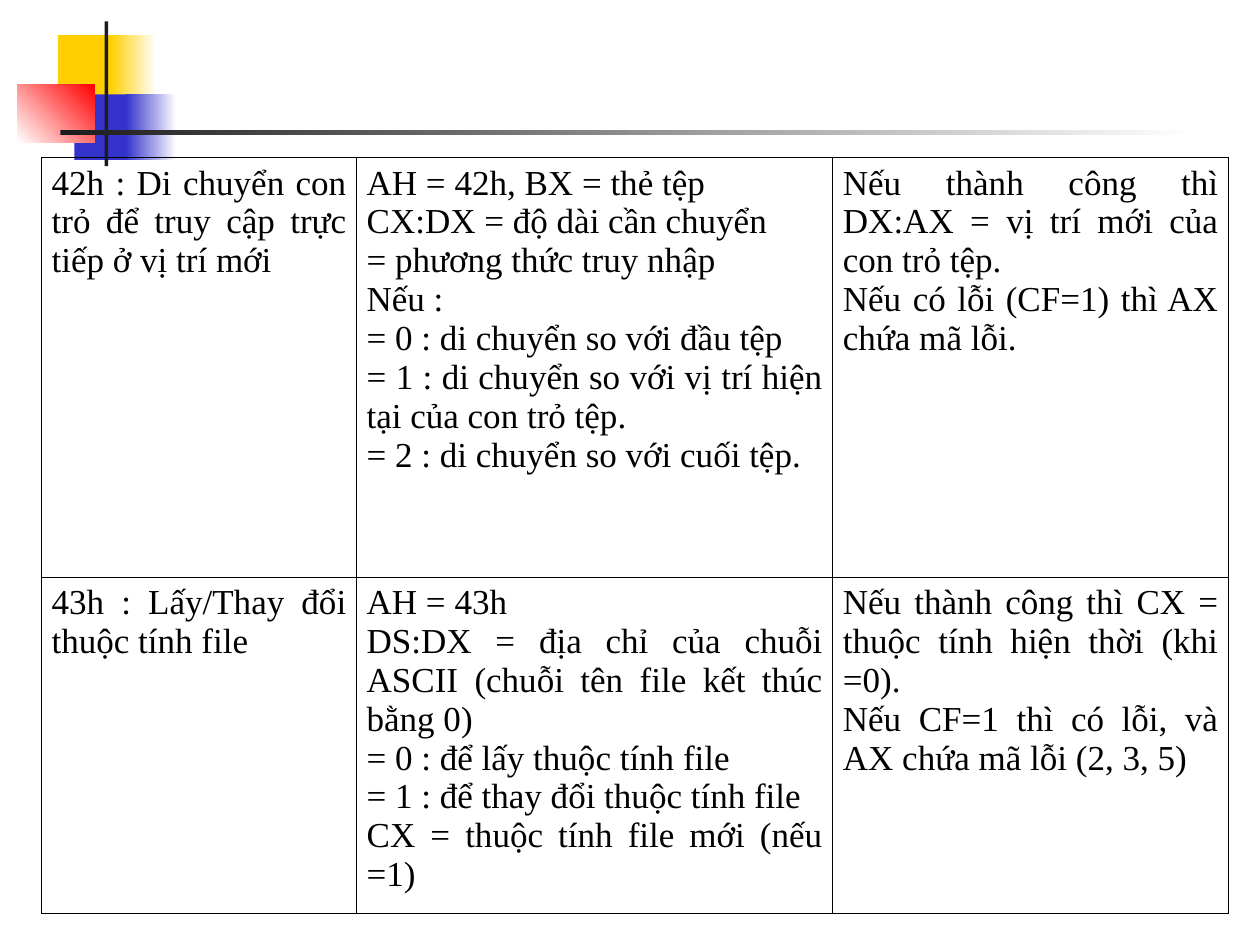
from dataclasses import dataclass

from lxml import etree
from pptx import Presentation
from pptx import util as u
from pptx.dml.color import RGBColor as Rgb
from pptx.enum import shapes, text
from pptx.oxml import ns


@dataclass(frozen=True)
class Theme:
    gold: str = "FFCF01"
    blue: str = "3333CC"
    red: str = "FF0000"
    dark: str = "1C1C1C"
    white: str = "FFFFFF"
    ink: str = "000000"
    font: str = "Times New Roman"
    size: float = 20
    rule: float = 0.45


THEME = Theme()
WIDE, HIGH = u.Inches(10), u.Inches(7.5)

BLOCKS = [
    ((4.6, 3.73, 4.8, 6.93), [THEME.gold], 0),
    ((8.8, 3.73, 3.6, 6.93), [THEME.gold, THEME.white], 0),
    ((5.9, 10, 4.6, 6.93), [THEME.blue], 0),
    ((10, 10, 4, 6.93), [THEME.blue, THEME.white], 0),
    ((1.4, 8.93, 6.1, 6.13), [THEME.white, THEME.red], 45),
    ((8.3, 2.27, 0.3, 15.33), [THEME.dark], 0),
    ((4.8, 13.73, 90, 0.53), [THEME.dark, THEME.white], 0),
]

COLS = [25, 37.8, 31.4]
ROWS = [44.4, 35.6]
CELLS = [
    [
        ["42h : Di chuyển con trỏ để truy cập trực tiếp ở vị trí mới"],
        [
            "AH = 42h, BX = thẻ tệp",
            "CX:DX = độ dài cần chuyển",
            "= phương thức truy nhập",
            "Nếu :",
            "= 0 : di chuyển so với đầu tệp",
            "= 1 : di chuyển so với vị trí hiện tại của con trỏ tệp.",
            "= 2 : di chuyển so với cuối tệp.",
        ],
        [
            "Nếu thành công thì DX:AX = vị trí mới của con trỏ tệp.",
            "Nếu có lỗi (CF=1) thì AX chứa mã lỗi.",
        ],
    ],
    [
        ["43h : Lấy/Thay đổi thuộc tính file"],
        [
            "AH = 43h",
            "DS:DX = địa chỉ của chuỗi ASCII (chuỗi tên file kết thúc bằng 0)",
            "= 0 : để lấy thuộc tính file",
            "= 1 : để thay đổi thuộc tính file",
            "CX = thuộc tính file mới (nếu =1)",
        ],
        [
            "Nếu thành công thì CX = thuộc tính hiện thời (khi =0).",
            "Nếu CF=1 thì có lỗi, và AX chứa mã lỗi (2, 3, 5)",
        ],
    ],
]


def across(share):
    return round(WIDE * share / 100)


def down(share):
    return round(HIGH * share / 100)


def place(left, top, width, height):
    return across(left), down(top), across(width), down(height)


def add_block(slide, box, tones, angle):
    block = slide.shapes.add_shape(shapes.MSO_SHAPE.RECTANGLE, *place(*box))
    block.shadow.inherit = False
    block.line.fill.background()
    if len(tones) == 1:
        block.fill.solid()
        block.fill.fore_color.rgb = Rgb.from_string(tones[0])
        return
    block.fill.gradient()
    block.fill.gradient_angle = angle
    for stop, tone, spot in zip(block.fill.gradient_stops, tones, (0, 1)):
        stop.color.rgb = Rgb.from_string(tone)
        stop.position = spot


def add_rules(cell):
    props = cell._tc.get_or_add_tcPr()
    for spot, side in enumerate(("lnL", "lnR", "lnT", "lnB")):
        line = etree.Element(ns.qn("a:" + side), w=str(u.Pt(THEME.rule)))
        fill = etree.SubElement(line, ns.qn("a:solidFill"))
        etree.SubElement(fill, ns.qn("a:srgbClr"), val=THEME.ink)
        props.insert(spot, line)


def fill_cell(cell, lines):
    cell.fill.background()
    cell.margin_left = cell.margin_right = u.Inches(0.08)
    cell.margin_top = cell.margin_bottom = u.Inches(0.05)
    add_rules(cell)
    cell.text_frame.text = "\n".join(lines)
    for para in cell.text_frame.paragraphs:
        para.alignment = text.PP_ALIGN.JUSTIFY
        for run in para.runs:
            run.font.name = THEME.font
            run.font.size = u.Pt(THEME.size)
            run.font.color.rgb = Rgb.from_string(THEME.ink)


def add_grid(slide, left, top):
    box = place(left, top, sum(COLS), sum(ROWS))
    table = slide.shapes.add_table(len(ROWS), len(COLS), *box).table
    table.first_row = table.horz_banding = False
    for col, share in zip(table.columns, COLS):
        col.width = across(share)
    for row, share, group in zip(table.rows, ROWS, CELLS):
        row.height = down(share)
        for cell, lines in zip(row.cells, group):
            fill_cell(cell, lines)


def main():
    deck = Presentation()
    deck.slide_width, deck.slide_height = WIDE, HIGH
    slide = deck.slides.add_slide(deck.slide_layouts[6])
    for box, tones, angle in BLOCKS:
        add_block(slide, box, tones, angle)
    add_grid(slide, 3.3, 16.67)
    deck.save("out.pptx")


if __name__ == "__main__":
    main()
